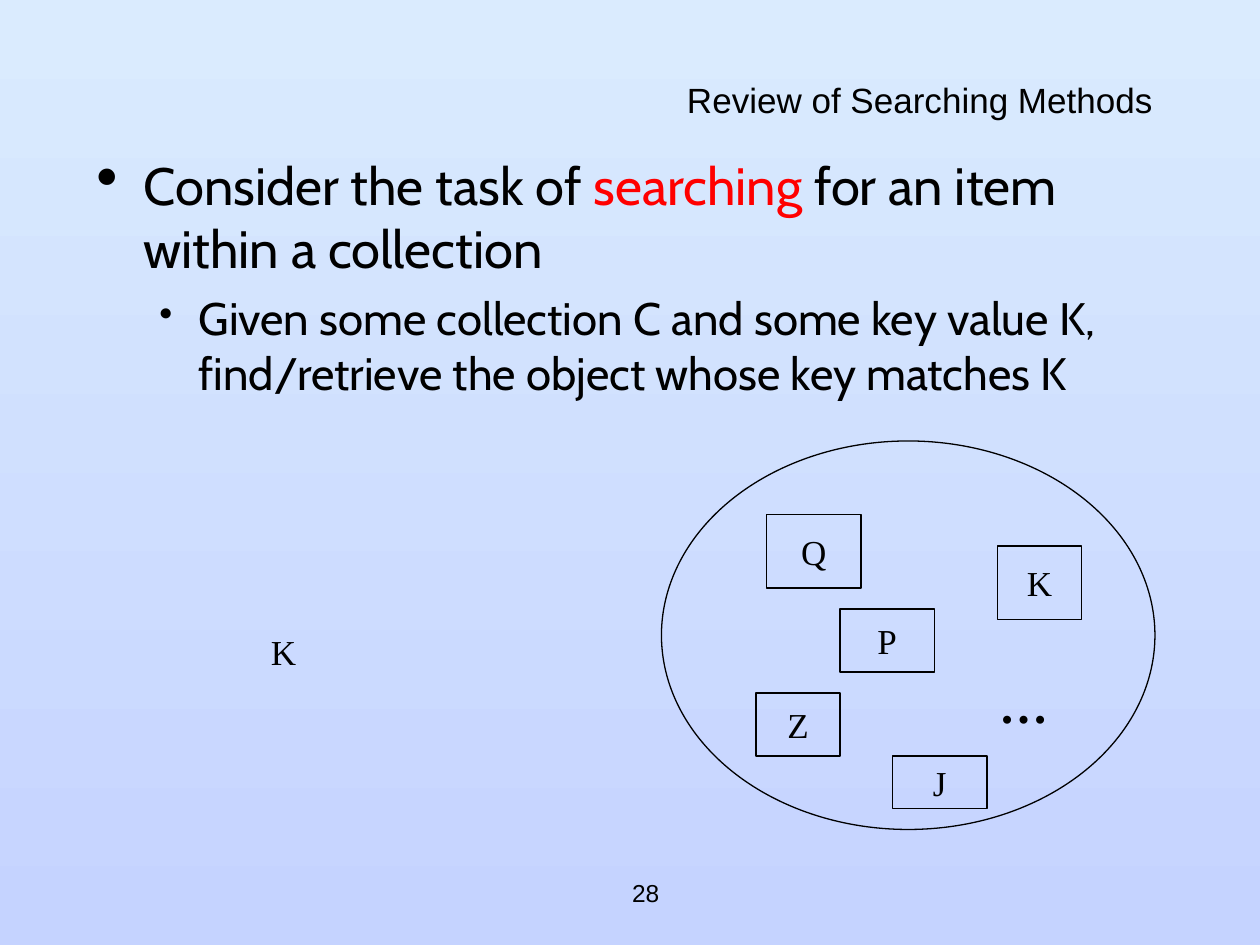
import pptx
import pptx.dml.color
import pptx.enum.shapes
import pptx.enum.text
import pptx.oxml
import pptx.oxml.ns
import pptx.util
from pptx.util import Pt

RGBColor = pptx.dml.color.RGBColor
ALIGN = pptx.enum.text.PP_ALIGN
MIDDLE = pptx.enum.text.MSO_ANCHOR.MIDDLE
SHAPE = pptx.enum.shapes.MSO_SHAPE

BLACK = RGBColor(0x00, 0x00, 0x00)
RED = RGBColor(0xFF, 0x00, 0x00)
SKY_TOP = RGBColor(0xDA, 0xEB, 0xFE)
SKY_BOTTOM = RGBColor(0xC5, 0xD3, 0xFF)


def write_label(shape, text, font_name, size, align=ALIGN.CENTER, bold=False, wrap=False):
    """Put one vertically centred line of black text into a shape."""
    frame = shape.text_frame
    frame.text = text
    frame.word_wrap = wrap
    frame.auto_size = pptx.enum.text.MSO_AUTO_SIZE.NONE
    frame.vertical_anchor = MIDDLE
    line = frame.paragraphs[0]
    line.alignment = align
    font = line.runs[0].font
    font.name, font.size, font.bold = font_name, Pt(size), bold
    font.color.rgb = BLACK


def add_outline(kind, left, top, width, height):
    """Add an unfilled shape with a thin black line."""
    shape = slide.shapes.add_shape(kind, Pt(left), Pt(top), Pt(width), Pt(height))
    shape.shadow.inherit = False
    shape.fill.background()
    shape.line.color.rgb = BLACK
    shape.line.width = Pt(0.75)
    return shape


deck = pptx.Presentation()
deck.slide_width, deck.slide_height = Pt(720), Pt(540)
slide = deck.slides.add_slide(deck.slide_layouts[5])

background = slide.background.fill
background.gradient()
background.gradient_angle = 270
for stop, color in zip(background.gradient_stops, (SKY_TOP, SKY_BOTTOM)):
    stop.color.rgb = color

title = slide.shapes.title
title.left, title.top, title.width, title.height = Pt(54), Pt(48), Pt(612), Pt(24)
write_label(title, "Review of Searching Methods", "Arial", 20, ALIGN.RIGHT, wrap=True)
title.text_frame.paragraphs[0].line_spacing = 0.7

# Bullets: runs, text size, space before, left margin, hanging indent, bullet size in percent
bullets = [
    ([("Consider the task of ", BLACK), ("searching", RED),
      (" for an item within a collection", BLACK)], 30, 7.5, 27, 27, 120),
    ([("Given some collection C and some key value K, "
       "find/retrieve the object whose key matches K", BLACK)], 26, 6.5, 58.5, 22.5, 85),
]
body = slide.shapes.add_textbox(Pt(48), Pt(84), Pt(618), Pt(396)).text_frame
body.word_wrap = True
for level, (runs, size, space, margin, hanging, bullet_size) in enumerate(bullets):
    paragraph = body.add_paragraph() if level else body.paragraphs[0]
    paragraph.level = level
    paragraph.space_before = Pt(space)
    for text, color in runs:
        run = paragraph.add_run()
        run.text = text
        run.font.name, run.font.size = "Cabin", Pt(size)
        run.font.color.rgb = color
    properties = paragraph._p.get_or_add_pPr()
    properties.set("marL", str(Pt(margin)))
    properties.set("indent", str(-Pt(hanging)))
    namespace = pptx.oxml.ns.nsdecls("a")
    for bullet_part in (
        f'<a:buClr {namespace}><a:srgbClr val="{BLACK}"/></a:buClr>',
        f'<a:buSzPct {namespace} val="{bullet_size * 1000}"/>',
        f'<a:buChar {namespace} char="•"/>',
    ):
        properties.append(pptx.oxml.parse_xml(bullet_part))

# The collection C and the keyed items inside it
add_outline(SHAPE.OVAL, 378, 252, 282, 222)
items = [
    ("Z", 432, 396, 48, 36),
    ("J", 510, 432, 54, 30),
    ("P", 480, 348, 54, 36),
    ("K", 570, 312, 48, 42),
    ("Q", 438, 294, 54, 42),
]
for key, *place in items:
    write_label(add_outline(SHAPE.RECTANGLE, *place), key, "Times New Roman", 20)

# Search key, further items, page number
loose_labels = [
    ("K", 132, 348, 60, 48, "Times New Roman", 20, False),
    ("…", 552, 384, 66, 36, "Times New Roman", 28, True),
    ("28", 294, 492, 150, 36, "Arial", 14, False),
]
for text, left, top, width, height, font_name, size, bold in loose_labels:
    label = slide.shapes.add_textbox(Pt(left), Pt(top), Pt(width), Pt(height))
    write_label(label, text, font_name, size, bold=bold)

deck.save("out.pptx")
